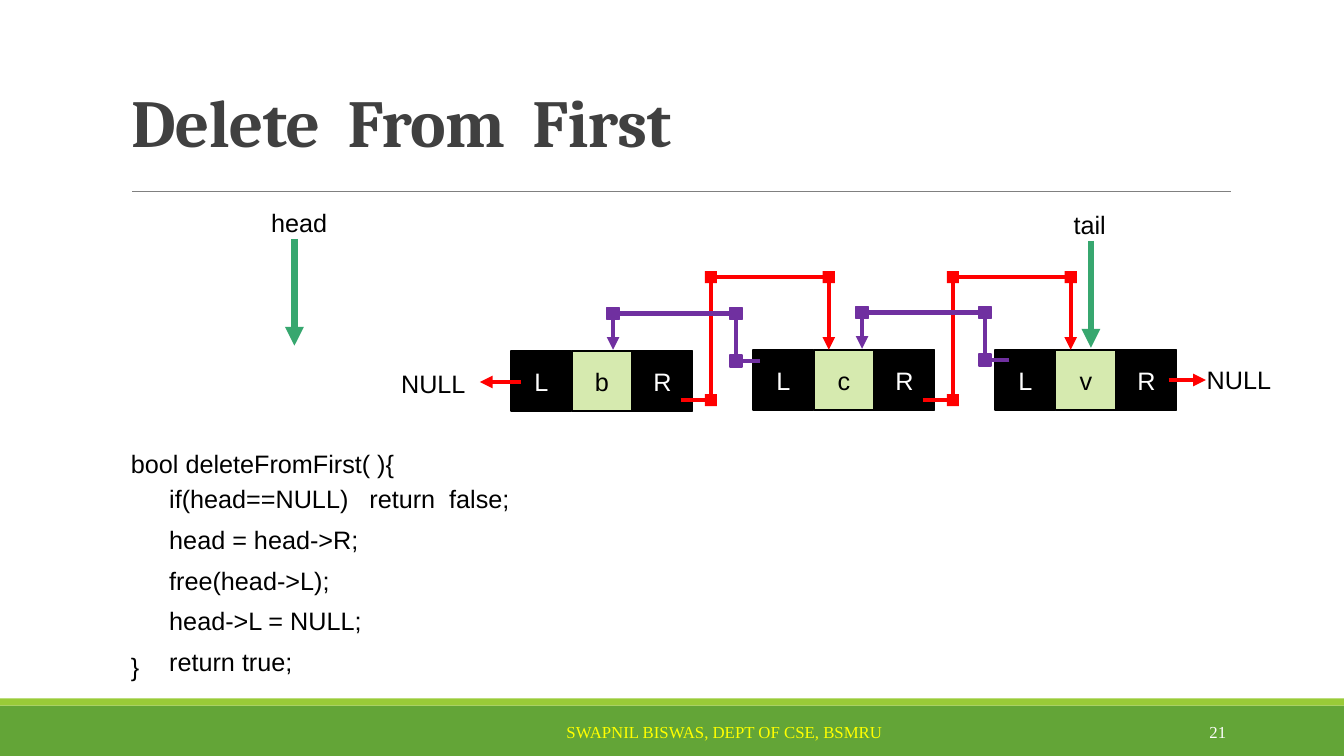
import pptx
import pptx.util
import pptx.dml.color
from pptx.enum.shapes import MSO_CONNECTOR, MSO_SHAPE
from pptx.enum.text import MSO_ANCHOR, MSO_AUTO_SIZE, PP_ALIGN
from pptx.oxml.ns import qn
from lxml import etree

Inches, Pt = pptx.util.Inches, pptx.util.Pt

TITLE = "Delete  From  First"
FOOTER = "SWAPNIL BISWAS, DEPT OF CSE, BSMRU"
PAGE = "21"
BLACK, WHITE, RED, PURPLE = "000000", "FFFFFF", "FF0000", "7030A0"
LIME, GREEN = "D6EAAF", "37A76F"

CELL = 0.6
NODES = [("b", 5.07, 3.48), ("c", 7.47, 3.47), ("v", 9.87, 3.47)]

NEXT_PATH = [(6.75, 3.97), (7.05, 3.97), (7.05, 2.75), (8.22, 2.75), (8.22, 3.47)]
PREV_PATH = [(7.54, 3.58), (7.3, 3.58), (7.3, 3.11), (6.08, 3.11), (6.08, 3.47)]
LINKS = [  # path, shift right, shift down, colour
    (NEXT_PATH, 0, 0, RED),
    (NEXT_PATH, 2.4, 0, RED),
    (PREV_PATH, 2.47, -0.01, PURPLE),
    (PREV_PATH, 0, 0, PURPLE),
]
JOINT = 0.12

POINTERS = [  # start, end, colour, width
    ((2.92, 2.37), (2.92, 3.43), GREEN, 4.5),
    ((10.82, 2.39), (10.82, 3.45), GREEN, 4.5),
    ((5.17, 3.79), (4.76, 3.79), RED, 3),
    ((11.59, 3.77), (11.96, 3.77), RED, 3),
]
LABELS = [  # text, left, top, width
    ("head", 2.59, 2.01, 0.8),
    ("tail", 10.55, 2.03, 0.68),
    ("NULL", 3.88, 3.6, 0.94),
    ("NULL", 11.87, 3.57, 0.94),
    ("bool deleteFromFirst( ){", 1.2, 4.4, 5.99),
    ("}", 1.2, 6.41, 0.38),
]
CODE_BODY = [
    "if(head==NULL)   return  false;",
    "head = head->R;",
    "free(head->L);",
    "head->L = NULL;",
    "return true;",
]

deck = pptx.Presentation()
deck.slide_width, deck.slide_height = Inches(13.33), Inches(7.5)
slide = deck.slides.add_slide(deck.slide_layouts[5])


def rgb(value):
    return pptx.dml.color.RGBColor.from_string(value)


def style(paragraph, size, color, font="Arial"):
    paragraph.font.name = font
    paragraph.font.size = Pt(size)
    paragraph.font.color.rgb = rgb(color)


def add_rect(left, top, width, height, fill, border=None):
    rect = slide.shapes.add_shape(MSO_SHAPE.RECTANGLE, Inches(left), Inches(top),
                                  Inches(width), Inches(height))
    rect.shadow.inherit = False
    rect.fill.solid()
    rect.fill.fore_color.rgb = rgb(fill)
    if border:
        rect.line.color.rgb = rgb(border)
        rect.line.width = Pt(1.25)
    else:
        rect.line.fill.background()
    return rect


def add_line(start, end, color, width, arrow=False):
    line = slide.shapes.add_connector(MSO_CONNECTOR.STRAIGHT,
                                      *(Inches(v) for v in (*start, *end)))
    line.line.color.rgb = rgb(color)
    line.line.width = Pt(width)
    if arrow:
        etree.SubElement(line.line._get_or_add_ln(), qn("a:tailEnd"), type="triangle")
    etree.SubElement(line._element.spPr, qn("a:effectLst"))


def add_text(lines, left, top, width, height=0.4, size=18, color=BLACK,
             font="Arial", wrap=True, gap=0):
    box = slide.shapes.add_textbox(Inches(left), Inches(top), Inches(width), Inches(height))
    frame = box.text_frame
    frame.word_wrap = wrap
    frame.text = "\n".join(lines)
    for i, paragraph in enumerate(frame.paragraphs):
        style(paragraph, size, color, font)
        if i and gap:
            paragraph.space_before = Pt(gap)
    return frame


# Slide frame
add_rect(0, 7, 13.33, 0.5, "63A537")
add_rect(0, 6.93, 13.33, 0.07, "99CB38")
add_line((1.31, 1.9), (12.21, 1.9), "808080", 0.5)
add_text([FOOTER], 5.52, 7.11, 3.36, 0.3, 12, "FFFF00", "Times New Roman", wrap=False)
page = add_text([PAGE], 10.83, 7.06, 1.43, 0.4, 12, WHITE, "Times New Roman")
page.vertical_anchor = MSO_ANCHOR.MIDDLE
page.paragraphs[0].alignment = PP_ALIGN.RIGHT

title = slide.shapes.title
title.left, title.top, title.width, title.height = map(Inches, (1.2, 0.06, 11, 1.59))
title.text_frame.text = TITLE
title.text_frame.auto_size = MSO_AUTO_SIZE.NONE
title.text_frame.vertical_anchor = MSO_ANCHOR.BOTTOM
heading = title.text_frame.paragraphs[0]
heading.alignment = PP_ALIGN.LEFT
heading.line_spacing = 0.85
style(heading, 48, "404040", "Cambria")
heading.font.bold = True
heading.runs[0].font._element.set("spc", "-50")

# Linked list
for value, left, top in NODES:
    for i, text in enumerate(("L", value, "R")):
        is_value = i == 1
        cell = add_rect(left + i * CELL, top, CELL, CELL, LIME if is_value else BLACK, BLACK)
        cell.text_frame.text = text
        cell.text_frame.vertical_anchor = MSO_ANCHOR.MIDDLE
        letter = cell.text_frame.paragraphs[0]
        letter.alignment = PP_ALIGN.CENTER
        style(letter, 18, BLACK if is_value else WHITE)

for path_points, right, down, color in LINKS:
    points = [(x + right, y + down) for x, y in path_points]
    for start, end in zip(points, points[1:]):
        add_line(start, end, color, 3, arrow=end == points[-1])
    for x, y in points[1:-1]:
        add_rect(x - JOINT / 2, y - JOINT / 2, JOINT, JOINT, color,
                 PURPLE if color == PURPLE else None)

for start, end, color, width in POINTERS:
    add_line(start, end, color, width, arrow=True)

# Labels and code
for text, left, top, width in LABELS:
    add_text([text], left, top, width)
add_text(CODE_BODY, 1.58, 4.75, 3.75, 1.96, gap=7.4)

deck.save("out.pptx")
